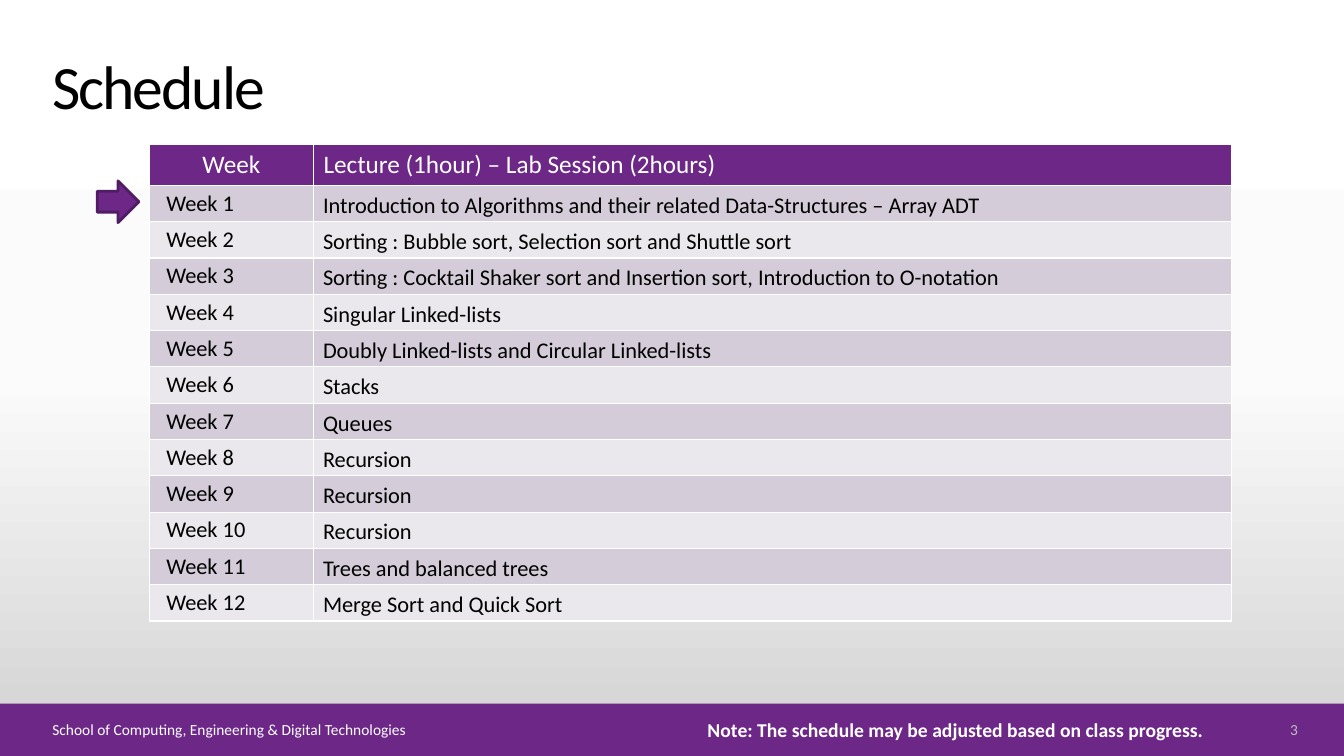
from copy import deepcopy

from lxml import etree
from pptx import Presentation
from pptx.dml.color import RGBColor
from pptx.enum import shapes, text
from pptx.oxml import ns
from pptx.util import Cm, Pt

COLOURS = {
    "purple": "6C2787", "arrow line": "501D64", "odd row": "D4CDD9", "even row": "EBE8ED",
    "white": "FFFFFF", "black": "000000", "number": "BFBFBF",
    "background middle": "FBFBFB", "background bottom": "D1D1D1",
}
FONT = "Calibri"
TOPICS = [
    "Introduction to Algorithms and their related Data-Structures – Array ADT",
    "Sorting : Bubble sort, Selection sort and Shuttle sort",
    "Sorting : Cocktail Shaker sort and Insertion sort, Introduction to O-notation",
    "Singular Linked-lists",
    "Doubly Linked-lists and Circular Linked-lists",
    "Stacks",
    "Queues",
    "Recursion",
    "Recursion",
    "Recursion",
    "Trees and balanced trees",
    "Merge Sort and Quick Sort",
]


def colour(name):
    return RGBColor.from_string(COLOURS[name])


def write(frame, words, size, colour_name, align=text.PP_ALIGN.LEFT, bold=False):
    paragraph = frame.paragraphs[0]
    paragraph.text = words
    paragraph.alignment = align
    font = paragraph.font
    font.name, font.size, font.bold = FONT, Pt(size), bold
    font.color.rgb = colour(colour_name)
    return paragraph


def add_filled_shape(slide, kind, left, top, width, height):
    shape = slide.shapes.add_shape(kind, Cm(left), Cm(top), Cm(width), Cm(height))
    shape.shadow.inherit = False
    shape.fill.solid()
    shape.fill.fore_color.rgb = colour("purple")
    return shape


def add_label(slide, left, top, width, height, words, size, colour_name, **style):
    label = slide.shapes.add_textbox(Cm(left), Cm(top), Cm(width), Cm(height))
    label.text_frame.word_wrap = True
    label.text_frame.vertical_anchor = text.MSO_ANCHOR.MIDDLE
    write(label.text_frame, words, size, colour_name, **style)


def set_background(slide):
    fill = slide.background.fill
    fill.gradient()
    fill.gradient_angle = 270
    stop_list = slide.element.find(".//" + ns.qn("a:gsLst"))
    stop_list.append(deepcopy(stop_list[0]))
    names = ("white", "background middle", "background bottom")
    for stop, position, name in zip(fill.gradient_stops, (0, 0.5, 1), names):
        stop.position = position
        stop.color.rgb = colour(name)


def place_title(slide, left, top, width, height):
    title = slide.shapes.title
    title.left, title.top, title.width, title.height = map(Cm, (left, top, width, height))
    title.text_frame.vertical_anchor = text.MSO_ANCHOR.BOTTOM
    paragraph = write(title.text_frame, "Schedule", 44, "black")
    paragraph.line_spacing = 0.9
    paragraph.runs[0]._r.get_or_add_rPr().set("spc", "-150")


def add_borders(cell):
    properties = cell._tc.get_or_add_tcPr()
    for side in ("a:lnL", "a:lnR", "a:lnT", "a:lnB"):
        line = etree.SubElement(properties, ns.qn(side), w=str(Pt(1)))
        fill = etree.SubElement(line, ns.qn("a:solidFill"))
        etree.SubElement(fill, ns.qn("a:srgbClr"), val=COLOURS["white"])


def style_cell(cell, fill_name):
    add_borders(cell)
    cell.fill.solid()
    cell.fill.fore_color.rgb = colour(fill_name)


def add_schedule(slide, left, top, width, height):
    header_height, week_width = 1.02, 4.14
    row_height = (height - header_height) / len(TOPICS)
    table = slide.shapes.add_table(
        len(TOPICS) + 1, 2, Cm(left), Cm(top), Cm(width), Cm(height)).table
    table.first_row = table.horz_banding = False
    table.columns[0].width = Cm(week_width)
    table.columns[1].width = Cm(width - week_width)

    # Header row
    table.rows[0].height = Cm(header_height)
    headings = (("Week", text.PP_ALIGN.CENTER),
                ("Lecture (1hour) – Lab Session (2hours)", text.PP_ALIGN.LEFT))
    for cell, (heading, align) in zip(table.rows[0].cells, headings):
        style_cell(cell, "purple")
        write(cell.text_frame, heading, 18, "white", align)

    # One row for each week
    for week, topic in enumerate(TOPICS, start=1):
        row = table.rows[week]
        row.height = Cm(row_height)
        for cell, words, indent in zip(row.cells, (f"Week {week}", topic), (0.43, 0.24)):
            style_cell(cell, "odd row" if week % 2 else "even row")
            cell.margin_left = Cm(indent)
            cell.margin_right = cell.margin_top = cell.margin_bottom = 0
            cell.vertical_anchor = text.MSO_ANCHOR.MIDDLE
            paragraph = write(cell.text_frame, words, 16, "black")
            if words == topic:
                paragraph.line_spacing = 1.15


def add_week_arrow(slide, left, top, size):
    arrow = add_filled_shape(slide, shapes.MSO_SHAPE.RIGHT_ARROW, left, top, size, size)
    arrow.line.color.rgb = colour("arrow line")
    arrow.line.width = Pt(2)


def add_footer(slide, left, top, width, height):
    bar = add_filled_shape(slide, shapes.MSO_SHAPE.RECTANGLE, left, top, width, height)
    bar.line.fill.background()
    label_top, label_height = top + 0.36, 0.58
    add_label(slide, left + 1.07, label_top, 15, label_height,
              "School of Computing, Engineering & Digital Technologies", 11, "white")
    add_label(slide, left + 31.06, label_top, 1.9, label_height,
              "3", 11, "number", align=text.PP_ALIGN.RIGHT)
    add_label(slide, left + 17.58, top + 0.23, 13.4, 0.86,
              "Note: The schedule may be adjusted based on class progress.",
              14, "white", bold=True)


def main():
    presentation = Presentation()
    presentation.slide_width, presentation.slide_height = Cm(33.87), Cm(19.05)
    slide = presentation.slides.add_slide(presentation.slide_layouts[5])
    set_background(slide)
    place_title(slide, 1.07, 1.02, 27.43, 2.2)
    add_schedule(slide, 3.76, 3.64, 27.28, 12)
    add_week_arrow(slide, 2.45, 4.56, 1.05)
    add_footer(slide, 0, 17.73, 33.87, 1.32)
    presentation.save("out.pptx")


if __name__ == "__main__":
    main()
